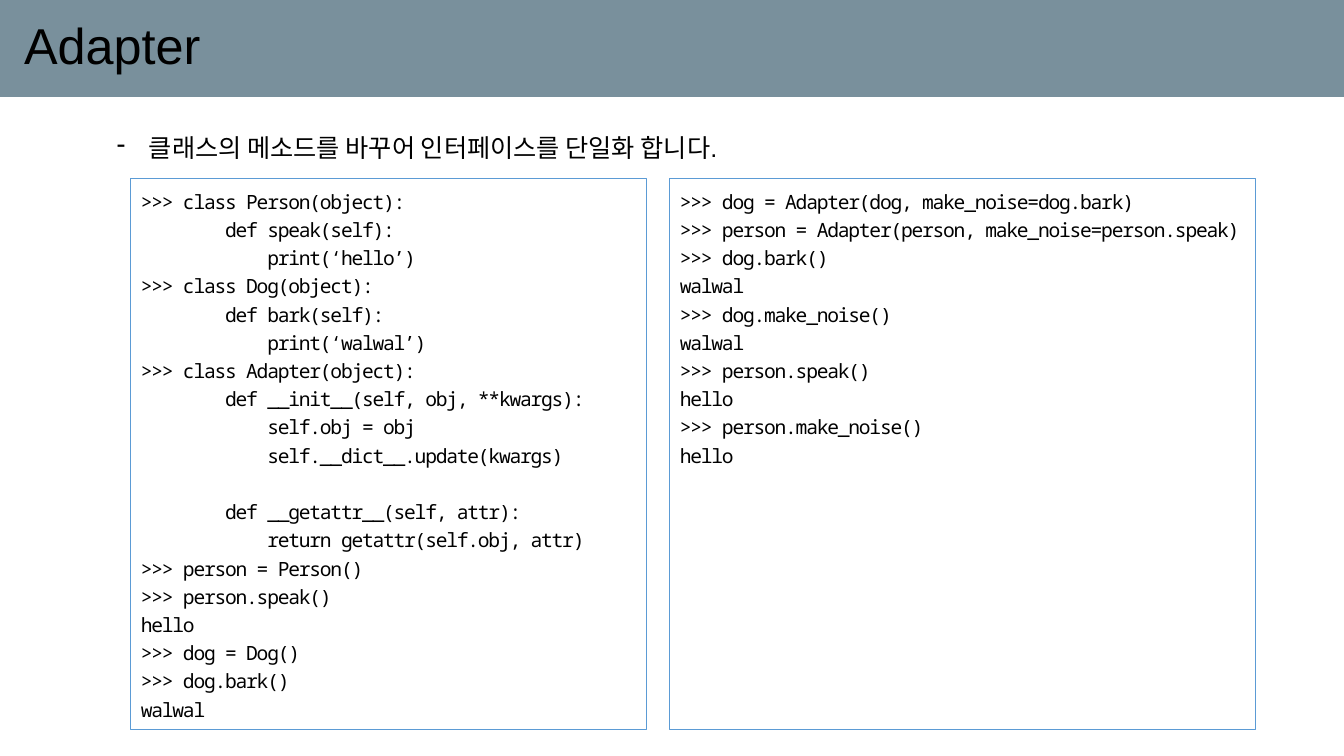
from pptx import Presentation
from pptx.dml.color import RGBColor
from pptx.enum.shapes import MSO_SHAPE
from pptx.enum.text import MSO_ANCHOR, PP_ALIGN
from pptx.oxml.ns import qn
from pptx.util import Pt
from lxml import etree

RECT = MSO_SHAPE.RECTANGLE
TOP, MIDDLE = MSO_ANCHOR.TOP, MSO_ANCHOR.MIDDLE
LEFT = PP_ALIGN.LEFT
SCALE = 914400 / 100.8
BLACK, SLATE, BLUE = "000000", "79909C", "5B9BD5"
SANS, HANGUL, MONO = "Arial", "Noto Sans CJK KR", "Noto Sans Mono"

CLASSES = """\
>>> class Person(object):
        def speak(self):
            print(‘hello’)
>>> class Dog(object):
        def bark(self):
            print(‘walwal’)
>>> class Adapter(object):
        def __init__(self, obj, **kwargs):
            self.obj = obj
            self.__dict__.update(kwargs)

        def __getattr__(self, attr):
            return getattr(self.obj, attr)
>>> person = Person()
>>> person.speak()
hello
>>> dog = Dog()
>>> dog.bark()
walwal"""

USAGE = """\
>>> dog = Adapter(dog, make_noise=dog.bark)
>>> person = Adapter(person, make_noise=person.speak)
>>> dog.bark()
walwal
>>> dog.make_noise()
walwal
>>> person.speak()
hello
>>> person.make_noise()
hello"""


def px(n):
    return round(n * SCALE)


def color(code):
    return RGBColor.from_string(code)


def style(para, face, size, space, asian=None):
    para.alignment = LEFT
    para.line_spacing = space
    para.font.name = face
    para.font.size = Pt(size)
    para.font.color.rgb = color(BLACK)
    for run in para.runs:
        props = run._r.get_or_add_rPr()
        etree.SubElement(props, qn("a:ea")).set("typeface", asian or face)


def box(slide, place, fill=None, line=None):
    shape = slide.shapes.add_shape(RECT, *map(px, place))
    shape.shadow.inherit = False
    if fill:
        shape.fill.solid()
        shape.fill.fore_color.rgb = color(fill)
    else:
        shape.fill.background()
    if line:
        shape.line.color.rgb = color(line)
        shape.line.width = Pt(0.75)
    else:
        shape.line.fill.background()
    return shape.text_frame


def title(slide, text):
    frame = box(slide, (0, 0, 1344, 97), fill=SLATE)
    frame.vertical_anchor = MIDDLE
    frame.margin_left = px(24)
    frame.text = text
    style(frame.paragraphs[0], SANS, 36, 0.9)


def bullet(slide, text, place):
    frame = slide.shapes.add_textbox(*map(px, place)).text_frame
    frame.word_wrap = True
    frame.text = text
    para = frame.paragraphs[0]
    props = para._p.get_or_add_pPr()
    props.set("marL", str(px(32)))
    props.set("indent", str(px(-32)))
    etree.SubElement(props, qn("a:buChar")).set("char", "-")
    style(para, SANS, 18, 1.2, HANGUL)


def code(slide, text, place):
    frame = box(slide, place, line=BLUE)
    frame.vertical_anchor = TOP
    frame.margin_top = px(6)
    frame.margin_bottom = 0
    frame.text = text
    for para in frame.paragraphs:
        style(para, MONO, 14, 1.2)
        for run in para.runs:
            run._r.get_or_add_rPr().set("spc", "-90")


def main():
    prs = Presentation()
    prs.slide_width, prs.slide_height = px(1344), px(756)
    slide = prs.slides.add_slide(prs.slide_layouts[6])

    # Heading and summary
    title(slide, "Adapter")
    bullet(slide, "클래스의 메소드를 바꾸어 인터페이스를 단일화 합니다.",
           (107, 121, 1067, 46))

    # Code panes
    code(slide, CLASSES, (131, 179, 516, 551))
    code(slide, USAGE, (670, 179, 586, 551))

    prs.save("out.pptx")


if __name__ == "__main__":
    main()
